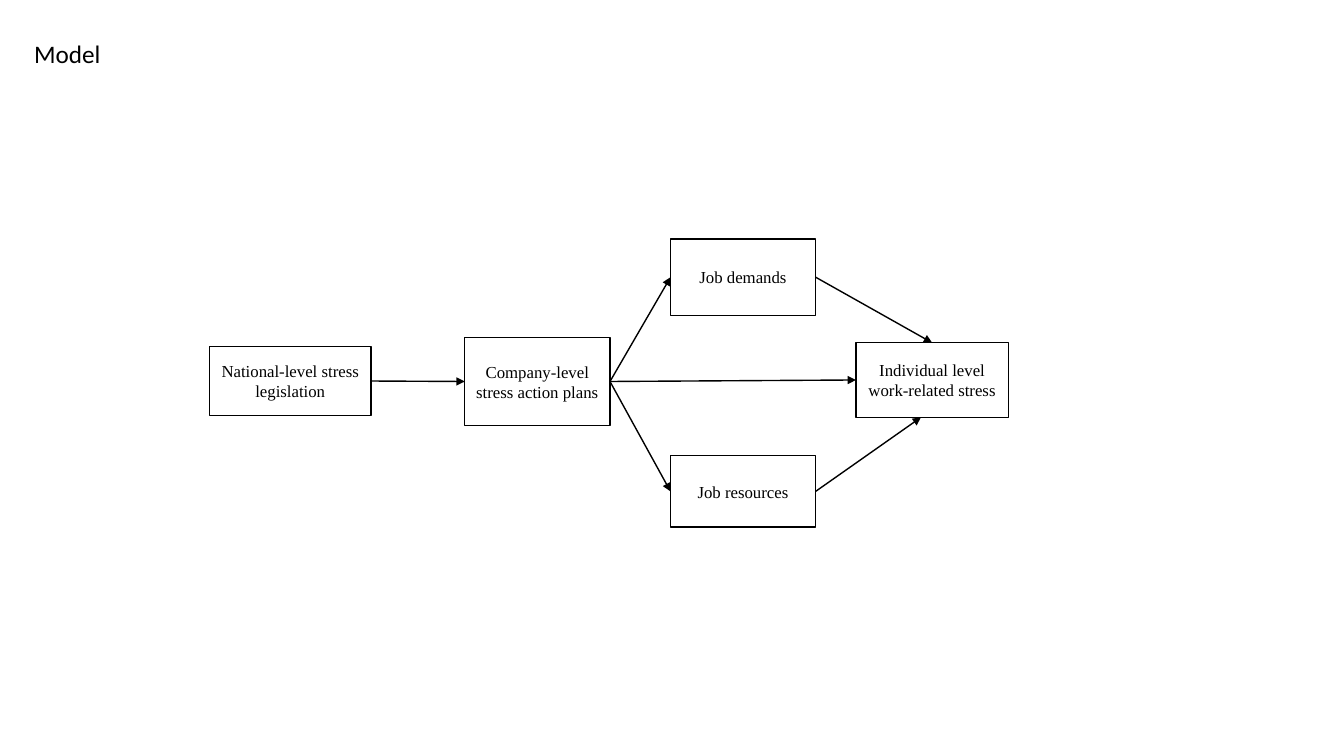
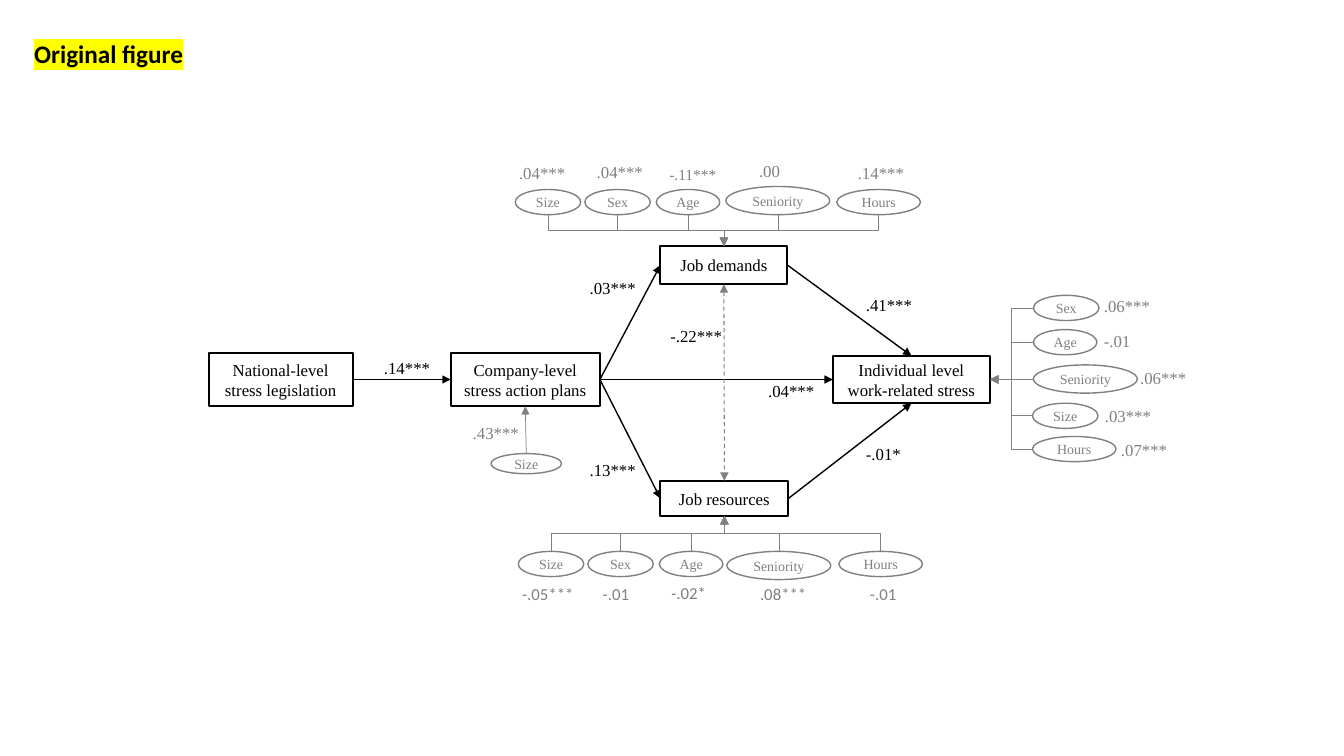
from dataclasses import dataclass

from lxml import etree
from pptx import Presentation
from pptx.dml.color import RGBColor
from pptx.enum.dml import MSO_LINE
from pptx.enum.shapes import MSO_CONNECTOR, MSO_SHAPE
from pptx.enum.text import MSO_ANCHOR, PP_ALIGN
from pptx.oxml.ns import qn
from pptx.util import Pt

RECTANGLE, OVAL = MSO_SHAPE.RECTANGLE, MSO_SHAPE.OVAL
STRAIGHT, ELBOW = MSO_CONNECTOR.STRAIGHT, MSO_CONNECTOR.ELBOW
CENTER, LEFT_ALIGN = PP_ALIGN.CENTER, PP_ALIGN.LEFT
MIDDLE, DASH = MSO_ANCHOR.MIDDLE, MSO_LINE.DASH
TOP, LEFT, BOTTOM, RIGHT = range(4)

PX = 9144
BLACK, GREY, WHITE, YELLOW = "000000", "808080", "FFFFFF", "FFFF00"
SERIF, SANS = "Times New Roman", "Calibri"

BOX_TEXTS = {
    "legislation": "National-level stress legislation",
    "plans": "Company-level stress action plans",
    "demands": "Job demands",
    "resources": "Job resources",
    "stress": "Individual level work-related stress",
}
PATHS = [
    ("legislation", RIGHT, "plans", LEFT),
    ("plans", RIGHT, "demands", LEFT),
    ("plans", RIGHT, "resources", LEFT),
    ("plans", RIGHT, "stress", LEFT),
    ("demands", RIGHT, "stress", TOP),
    ("resources", RIGHT, "stress", BOTTOM),
]
FACTOR_SIZES = {
    "Size": (65, 25),
    "Sex": (65, 25),
    "Age": (63, 25),
    "Seniority": (103, 28),
    "Hours": (83, 25),
}


@dataclass
class Factor:
    name: str
    x: int
    y: int
    effect: str
    effect_x: int
    effect_y: int
    size: int = 12


def px(*lengths):
    return [length * PX for length in lengths]


def color(value):
    return RGBColor.from_string(value)


def write(shape, text, size=12, font=SERIF, ink=BLACK, bold=False,
          align=LEFT_ALIGN, highlight=None):
    frame = shape.text_frame
    frame.word_wrap = True
    paragraph = frame.paragraphs[0]
    paragraph.alignment = align
    run = paragraph.add_run()
    run.text = text
    run.font.name, run.font.size, run.font.bold = font, Pt(size), bold
    run.font.color.rgb = color(ink)
    if highlight:
        mark = etree.Element(qn("a:highlight"))
        etree.SubElement(mark, qn("a:srgbClr"), val=highlight)
        run.font.fill._xPr.find(qn("a:solidFill")).addnext(mark)


def add_label(slide, text, left, top, width=80, height=30, **style):
    label = slide.shapes.add_textbox(*px(left, top, width, height))
    label.text_frame.margin_right = 0
    write(label, text, **style)


def add_node(slide, preset, text, box, weight=1, **style):
    node = slide.shapes.add_shape(preset, *px(*box))
    node.shadow.inherit = False
    node.fill.solid()
    node.fill.fore_color.rgb = color(WHITE)
    node.line.color.rgb = color(style.get("ink", BLACK))
    node.line.width = Pt(weight)
    frame = node.text_frame
    frame.vertical_anchor = MIDDLE
    if preset == OVAL:
        frame.margin_left = frame.margin_right = 0
        frame.margin_top = frame.margin_bottom = 0
    write(node, text, align=CENTER, **style)
    return node


def side_point(shape, side):
    middle_x = shape.left + shape.width // 2
    middle_y = shape.top + shape.height // 2
    return {
        TOP: (middle_x, shape.top),
        LEFT: (shape.left, middle_y),
        BOTTOM: (middle_x, shape.top + shape.height),
        RIGHT: (shape.left + shape.width, middle_y),
    }[side]


def style_arrow(arrow, ink, weight, dashed=False):
    arrow.line.color.rgb = color(ink)
    arrow.line.width = Pt(weight)
    ends = ["a:tailEnd"]
    if dashed:
        arrow.line.dash_style = DASH
        ends = ["a:headEnd", "a:tailEnd"]
    properties = arrow._element.spPr
    outline = properties.find(qn("a:ln"))
    for end in ends:
        etree.SubElement(outline, qn(end), type="triangle")
    etree.SubElement(properties, qn("a:effectLst"))


def add_path(slide, source, source_side, target, target_side,
             ink=BLACK, weight=1, dashed=False, shift=0):
    start, end = side_point(source, source_side), side_point(target, target_side)
    arrow = slide.shapes.add_connector(
        STRAIGHT, *start, end[0] + shift * PX, end[1])
    if source.auto_shape_type == RECTANGLE:
        arrow.begin_connect(source, source_side)
    if not shift:
        arrow.end_connect(target, target_side)
    style_arrow(arrow, ink, weight, dashed)


def add_elbow(slide, start, end, upright):
    points, turn = (start, end), 0
    if upright:
        turn = 1 if (end[0] < start[0]) == (end[1] > start[1]) else -1
        center_x = (start[0] + end[0]) // 2
        center_y = (start[1] + end[1]) // 2
        points = [(center_x + turn * (y - center_y), center_y - turn * (x - center_x))
                  for x, y in points]
    arrow = slide.shapes.add_connector(ELBOW, *points[0], *points[1])
    if turn:
        arrow._element.spPr.find(qn("a:xfrm")).set("rot", str(turn % 4 * 5400000))
    style_arrow(arrow, GREY, 0.5)


def draw_model(slide, origin, boxes, weight, last_shift=0):
    left, top = origin
    nodes = {
        key: add_node(slide, RECTANGLE, BOX_TEXTS[key],
                      (left + x, top + y, width, height), weight)
        for key, (x, y, width, height) in boxes.items()
    }
    for source, source_side, target, target_side in PATHS:
        shift = last_shift if source == "resources" else 0
        add_path(slide, nodes[source], source_side, nodes[target], target_side,
                 shift=shift)
    return nodes


def draw_effects(slide, origin, effects):
    left, top = origin
    for text, x, y, ink in effects:
        add_label(slide, text, left + x, top + y, ink=ink)


def draw_factors(slide, origin, factors, target, target_side, font=SERIF):
    left, top = origin
    end = side_point(target, target_side)
    upright = target_side in (TOP, BOTTOM)
    facing_side = (target_side + 2) % 4
    for factor in factors:
        box = (left + factor.x, top + factor.y, *FACTOR_SIZES[factor.name])
        oval = add_node(slide, OVAL, factor.name, box, size=10, ink=GREY)
        add_elbow(slide, side_point(oval, facing_side), end, upright)
        add_label(slide, factor.effect, left + factor.effect_x,
                  top + factor.effect_y, size=factor.size, font=font, ink=GREY)


def new_slide(deck, title, **style):
    slide = deck.slides.add_slide(deck.slide_layouts[6])
    add_label(slide, title, 24, 33, 246, 40, size=18, font=SANS, **style)
    return slide


def build_model_slide(deck):
    slide = new_slide(deck, "Model")
    boxes = {
        "legislation": (0, 107, 160, 68),
        "plans": (253, 98, 144, 87),
        "demands": (457, 0, 144, 76),
        "resources": (457, 215, 144, 71),
        "stress": (641, 103, 151, 74),
    }
    draw_model(slide, (208, 237), boxes, weight=1, last_shift=-11)


def build_figure_slide(deck):
    slide = new_slide(deck, "Original figure", bold=True, highlight=YELLOW)
    origin = (207, 244)
    boxes = {
        "legislation": (0, 106, 143, 53),
        "plans": (240, 106, 148, 53),
        "demands": (448, 0, 126, 38),
        "resources": (448, 233, 127, 35),
        "stress": (619, 109, 156, 47),
    }
    nodes = draw_model(slide, origin, boxes, weight=1.5)
    add_path(slide, nodes["demands"], BOTTOM, nodes["resources"], TOP,
             ink=GREY, weight=0.75, dashed=True)
    company_size = add_node(slide, OVAL, "Size", (487, 450, 70, 20),
                            size=10, ink=GREY)
    add_path(slide, company_size, TOP, nodes["plans"], BOTTOM,
             ink=GREY, weight=0.5)
    draw_effects(slide, origin, [
        (".14***", 164, 106, BLACK),
        (".03***", 368, 27, BLACK),
        (".13***", 368, 207, BLACK),
        (".04***", 545, 129, BLACK),
        (".41***", 642, 43, BLACK),
        ("-.01*", 642, 191, BLACK),
        ("-.22***", 448, 74, BLACK),
        (".43***", 252, 170, GREY),
    ])
    draw_factors(slide, (511, 184), [
        Factor("Size", 0, 4, ".04***", -6, -27),
        Factor("Sex", 69, 4, ".04***", 71, -28),
        Factor("Age", 140, 4, "-.11***", 143, -25, 11),
        Factor("Seniority", 209, 1, ".00", 232, -29),
        Factor("Hours", 319, 4, ".14***", 330, -27),
    ], nodes["demands"], TOP)
    draw_factors(slide, (514, 547), [
        Factor("Size", 0, 0, "-.05***", -6, 27),
        Factor("Sex", 69, 0, "-.01", 74, 27),
        Factor("Age", 140, 0, "-.02*", 142, 26),
        Factor("Seniority", 207, 0, ".08***", 230, 27),
        Factor("Hours", 318, 0, "-.01", 339, 27),
    ], nodes["resources"], BOTTOM, font=SANS)
    draw_factors(slide, (1024, 293), [
        Factor("Sex", 1, 0, ".06***", 61, -5),
        Factor("Age", 1, 34, "-.01", 61, 30),
        Factor("Seniority", 1, 69, ".06***", 97, 67),
        Factor("Size", 0, 107, ".03***", 62, 105),
        Factor("Hours", 0, 140, ".07***", 78, 138),
    ], nodes["stress"], RIGHT)


def main():
    deck = Presentation()
    deck.slide_width, deck.slide_height = px(1333, 750)
    build_model_slide(deck)
    build_figure_slide(deck)
    deck.save("out.pptx")


if __name__ == "__main__":
    main()
